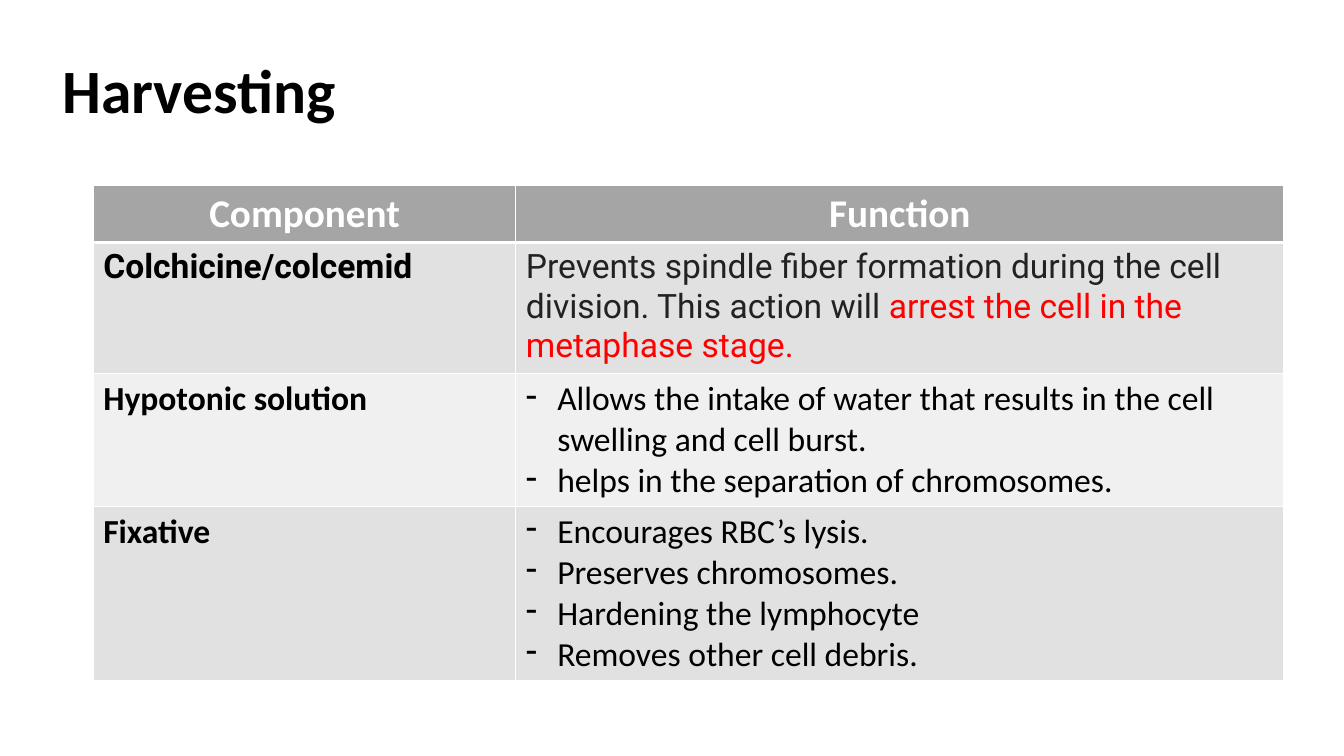
from lxml.etree import SubElement
from pptx import Presentation
from pptx.dml.color import RGBColor
from pptx.enum.text import MSO_ANCHOR, PP_ALIGN
from pptx.oxml.ns import qn
from pptx.util import Cm, Pt

BLACK = RGBColor(0x00, 0x00, 0x00)
WHITE = RGBColor(0xFF, 0xFF, 0xFF)
CHARCOAL = RGBColor(0x22, 0x22, 0x22)
RED = RGBColor(0xFF, 0x00, 0x00)
HEADER_GRAY = RGBColor(0xA5, 0xA5, 0xA5)
BAND_GRAYS = (RGBColor(0xE1, 0xE1, 0xE1), RGBColor(0xF0, 0xF0, 0xF0))

BODY_FONT = "Calibri"
COLUMN_SHARES = (0.355, 0.645)
ROW_HEIGHTS = (1.45, 3.23, 3.35, 4.39)
DASH_INDENT = Cm(0.79)

HEADINGS = ("Component", "Function")
# Each row: component, its font, function paragraphs (lists of text and colour), dashed or not
COMPONENTS = (
    ("Colchicine/colcemid", "Roboto", [[
        ("Prevents spindle fiber formation during the cell division. This action will ", CHARCOAL),
        ("arrest the cell in the metaphase stage.", RED),
    ]], False),
    ("Hypotonic solution", BODY_FONT, [
        [("Allows the intake of water that results in the cell swelling and cell burst.", BLACK)],
        [("helps in the separation of chromosomes.", BLACK)],
    ], True),
    ("Fixative", BODY_FONT, [
        [("Encourages RBC’s lysis.", BLACK)],
        [("Preserves chromosomes.", BLACK)],
        [("Hardening the lymphocyte", BLACK)],
        [("Removes other cell debris.", BLACK)],
    ], True),
)


def set_font(font, size, name=BODY_FONT, bold=False, color=None):
    font.size, font.name, font.bold = Pt(size), name, bold
    if color is not None:
        font.color.rgb = color


def add_dash(paragraph):
    properties = paragraph._p.get_or_add_pPr()
    properties.set("marL", str(DASH_INDENT))
    properties.set("indent", str(-DASH_INDENT))
    SubElement(properties, qn("a:buFontTx"))
    SubElement(properties, qn("a:buChar"), char="-")


def style_cell(cell, fill, top=1, bottom=1):
    """Give the cell white borders (widths in points) and a solid fill."""
    properties = cell._tc.get_or_add_tcPr()
    for side, width in (("L", 1), ("R", 1), ("T", top), ("B", bottom)):
        line = SubElement(properties, qn(f"a:ln{side}"), w=str(Pt(width)))
        solid = SubElement(line, qn("a:solidFill"))
        SubElement(solid, qn("a:srgbClr"), val=str(WHITE))
    cell.fill.solid()
    cell.fill.fore_color.rgb = fill


def add_title(slide, text, left, top, width, height):
    frame = slide.shapes.add_textbox(left, top, width, height).text_frame
    frame.word_wrap = True
    frame.vertical_anchor = MSO_ANCHOR.MIDDLE
    paragraph = frame.paragraphs[0]
    paragraph.text = text
    paragraph.line_spacing = 0.9
    set_font(paragraph.font, 44, bold=True, color=BLACK)


def fill_function(cell, lines, font_name, dashed):
    frame = cell.text_frame
    for index, runs in enumerate(lines):
        paragraph = frame.add_paragraph() if index else frame.paragraphs[0]
        if dashed:
            add_dash(paragraph)
        set_font(paragraph.font, 24, font_name)
        for text, color in runs:
            run = paragraph.add_run()
            run.text = text
            run.font.color.rgb = color


def add_component_table(slide, left, top, width):
    heights = [Cm(height) for height in ROW_HEIGHTS]
    table = slide.shapes.add_table(
        len(heights), len(HEADINGS), left, top, width, sum(heights)).table
    for column, share in zip(table.columns, COLUMN_SHARES):
        column.width = int(width * share)
    for row, height in zip(table.rows, heights):
        row.height = height

    for column, heading in enumerate(HEADINGS):
        cell = table.cell(0, column)
        style_cell(cell, HEADER_GRAY, bottom=3)
        paragraph = cell.text_frame.paragraphs[0]
        paragraph.text = heading
        paragraph.alignment = PP_ALIGN.CENTER
        set_font(paragraph.font, 28, bold=True, color=WHITE)

    for row, (component, font_name, lines, dashed) in enumerate(COMPONENTS, start=1):
        name_cell, function_cell = table.cell(row, 0), table.cell(row, 1)
        for cell in (name_cell, function_cell):
            style_cell(cell, BAND_GRAYS[(row - 1) % 2], top=3 if row == 1 else 1)
        paragraph = name_cell.text_frame.paragraphs[0]
        paragraph.text = component
        set_font(paragraph.font, 24, font_name, bold=True, color=BLACK)
        fill_function(function_cell, lines, font_name, dashed)


def main():
    presentation = Presentation()
    presentation.slide_width, presentation.slide_height = Cm(33.87), Cm(19.05)
    slide = presentation.slides.add_slide(presentation.slide_layouts[6])
    add_title(slide, "Harvesting", Cm(1.32), Cm(1.02), Cm(29.21), Cm(2.69))
    add_component_table(slide, Cm(2.35), Cm(4.66), Cm(30))
    presentation.save("out.pptx")


if __name__ == "__main__":
    main()
